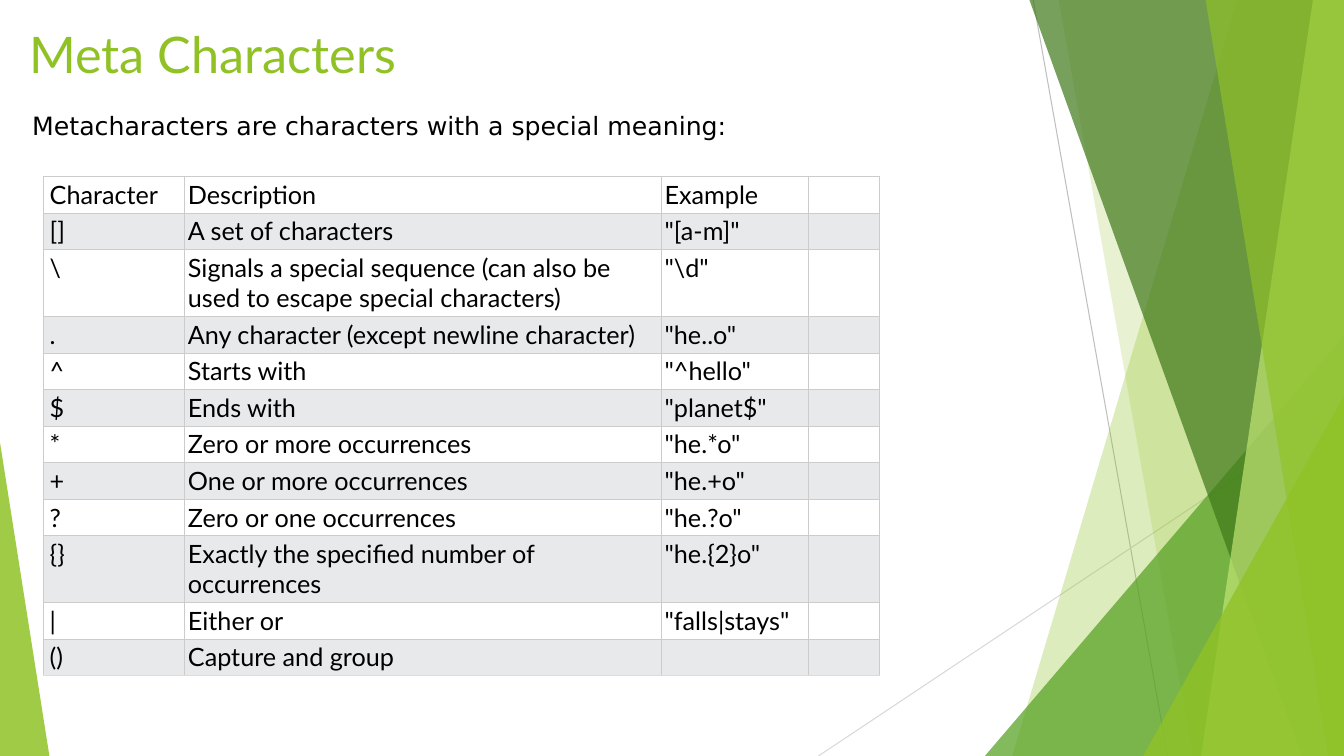
from pptx import Presentation
from pptx.dml.color import RGBColor
from pptx.enum.shapes import MSO_CONNECTOR, MSO_SHAPE
from pptx.enum.text import MSO_ANCHOR, PP_ALIGN
from pptx.oxml import parse_xml
from pptx.oxml.ns import nsdecls, qn
from pptx.util import Pt
from lxml.etree import SubElement

# Content
TITLE = "Meta Characters"
INTRO = "Metacharacters are characters with a special meaning:"
METACHARACTERS = [
    ("Character", "Description", "Example"),
    ("[]", "A set of characters", '"[a-m]"'),
    ("\\", "Signals a special sequence (can also be used to escape special characters)", '"\\d"'),
    (".", "Any character (except newline character)", '"he..o"'),
    ("^", "Starts with", '"^hello"'),
    ("$", "Ends with", '"planet$"'),
    ("*", "Zero or more occurrences", '"he.*o"'),
    ("+", "One or more occurrences", '"he.+o"'),
    ("?", "Zero or one occurrences", '"he.?o"'),
    ("{}", "Exactly the specified number of occurrences", '"he.{2}o"'),
    ("|", "Either or", '"falls|stays"'),
    ("()", "Capture and group", ""),
]

# Colours and fonts
BLACK = RGBColor(0x00, 0x00, 0x00)
WHITE = RGBColor(0xFF, 0xFF, 0xFF)
STRIPE = RGBColor(0xE7, 0xE9, 0xEB)
LIME = RGBColor(0x90, 0xC2, 0x26)
GREEN = RGBColor(0x54, 0xA0, 0x21)
DARK_GREEN = RGBColor(0x3F, 0x78, 0x19)
PALE_LIME = RGBColor(0xC0, 0xE4, 0x74)
GREY = RGBColor(0xBF, 0xBF, 0xBF)
LIGHT_GREY = RGBColor(0xD9, 0xD9, 0xD9)
GRID, LAST_GRID = "CCCCCC", "DDDDDD"
TITLE_FONT, INTRO_FONT = "Lato", "DejaVu Sans"

# Geometry in points
WIDTH, HEIGHT, BLEED = 960, 540, -0.6
THIN_LINES = [((738, 0), (834, HEIGHT), GREY), ((WIDTH, 290), (584.6, HEIGHT), LIGHT_GREY)]
# Bands: top-left x, bottom-left x; triangles: left, top, right, apex position
FACETS = [
    ("band", (884.2, 722.9), LIME, 30),
    ("band", (756, 851.8), LIME, 20),
    ("triangle", (703.5, 239.8, WIDTH, 1), GREEN, 72),
    ("band", (735.1, 929.5), DARK_GREEN, 70),
    ("band", (938.2, 858.2), PALE_LIME, 70),
    ("band", (861.1, 949), LIME, 65),
    ("triangle", (816.5, 283, WIDTH, 1), LIME, 80),
    ("triangle", (0, 316.1, 35.3, 0), LIME, 85),
]
TABLE_LEFT, TABLE_TOP = 31, 126
COLUMN_WIDTHS = [101, 340.5, 104.75, 51]
ROW_HEIGHT, TALL_ROW_HEIGHT, TALL_ROWS = 25.6, 47.2, (2, 9)
CELL_MARGIN, FIRST_MARGIN = 2.25, 4.5


def style(paragraph, font, size, color):
    paragraph.font.name = font
    paragraph.font.size = Pt(size)
    paragraph.font.color.rgb = color


def draw_facet(shapes, kind, place, color, opacity):
    if kind == "band":
        top_x, bottom_x = place
        builder = shapes.build_freeform(top_x, BLEED, scale=Pt(1))
        builder.add_line_segments([(WIDTH, BLEED), (WIDTH, HEIGHT), (bottom_x, HEIGHT)])
        facet = builder.convert_to_shape()
    else:
        left, top, right, apex = place
        facet = shapes.add_shape(MSO_SHAPE.ISOSCELES_TRIANGLE, Pt(left), Pt(top),
                                 Pt(right - left), Pt(HEIGHT - top))
        facet.adjustments[0] = apex
    facet.shadow.inherit = False
    facet.fill.solid()
    facet.fill.fore_color.rgb = color
    facet.line.fill.background()
    tint = facet.fill._xPr.find(qn("a:solidFill"))[0]
    SubElement(tint, qn("a:alpha")).set("val", str(opacity * 1000))


def add_borders(cell, bottom):
    properties = cell._tc.get_or_add_tcPr()
    for index, side in enumerate(("L", "R", "T", "B")):
        color = bottom if side == "B" else GRID
        properties.insert(index, parse_xml(
            f'<a:ln{side} {nsdecls("a")} w="{Pt(0.5)}"><a:solidFill>'
            f'<a:srgbClr val="{color}"/></a:solidFill></a:ln{side}>'))


def main():
    prs = Presentation()
    prs.slide_width, prs.slide_height = Pt(WIDTH), Pt(HEIGHT)
    slide = prs.slides.add_slide(prs.slide_layouts[5])
    shapes = slide.shapes

    # Background lines and facets
    for start, end, color in THIN_LINES:
        line = shapes.add_connector(MSO_CONNECTOR.STRAIGHT, *map(Pt, start + end))
        line.line.color.rgb = color
        line.line.width = Pt(0.75)
        SubElement(line._element.spPr, qn("a:effectLst"))
    for facet in FACETS:
        draw_facet(shapes, *facet)

    # Title
    title = shapes.title
    title.left, title.top, title.width, title.height = Pt(13.7), Pt(13), Pt(676.8), Pt(103.7)
    title.text_frame.text = TITLE
    title.text_frame.vertical_anchor = MSO_ANCHOR.TOP
    heading = title.text_frame.paragraphs[0]
    heading.alignment = PP_ALIGN.LEFT
    style(heading, TITLE_FONT, 36, LIME)

    # Introduction
    intro = shapes.add_textbox(Pt(31), Pt(68.4), Pt(483.8), Pt(41.8))
    intro.fill.solid()
    intro.fill.fore_color.rgb = WHITE
    frame = intro.text_frame
    frame.text = INTRO
    frame.word_wrap = False
    frame.vertical_anchor = MSO_ANCHOR.MIDDLE
    frame.margin_left = frame.margin_right = Pt(-8)
    frame.margin_top = frame.margin_bottom = Pt(10)
    style(frame.paragraphs[0], INTRO_FONT, 18, BLACK)

    # Table
    heights = [TALL_ROW_HEIGHT if row in TALL_ROWS else ROW_HEIGHT
               for row in range(len(METACHARACTERS))]
    table = shapes.add_table(len(heights), len(COLUMN_WIDTHS), Pt(TABLE_LEFT), Pt(TABLE_TOP),
                             Pt(sum(COLUMN_WIDTHS)), Pt(sum(heights))).table
    table.first_row = table.horz_banding = False
    for column, width in zip(table.columns, COLUMN_WIDTHS):
        column.width = Pt(width)
    for r, (entry, height) in enumerate(zip(METACHARACTERS, heights)):
        table.rows[r].height = Pt(height)
        for c, text in enumerate(entry + ("",)):
            cell = table.cell(r, c)
            cell.text = text
            cell.margin_left = Pt(FIRST_MARGIN if c == 0 else CELL_MARGIN)
            cell.margin_right = cell.margin_top = cell.margin_bottom = Pt(CELL_MARGIN)
            style(cell.text_frame.paragraphs[0], TITLE_FONT, 18, BLACK)
            cell.fill.solid()
            cell.fill.fore_color.rgb = STRIPE if r % 2 else WHITE
            add_borders(cell, LAST_GRID if r == len(heights) - 1 else GRID)

    prs.save("out.pptx")


if __name__ == "__main__":
    main()
